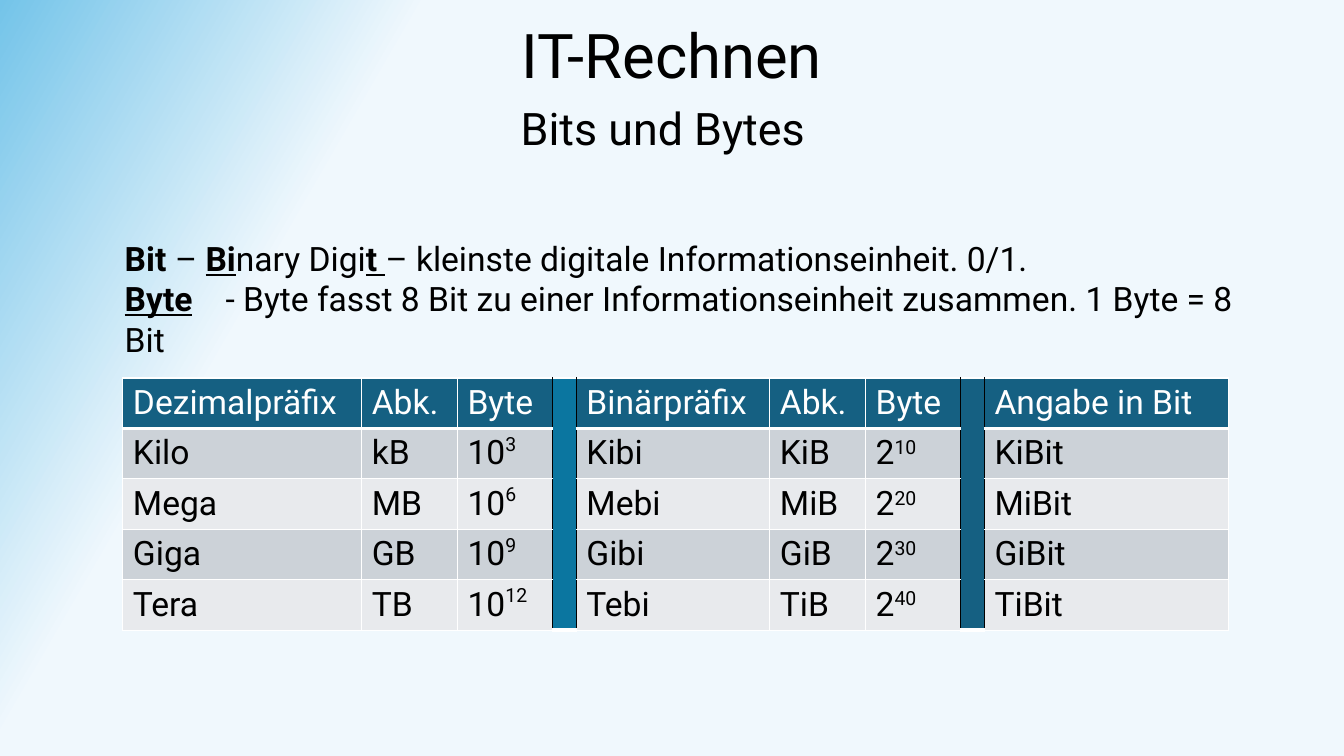
import pptx
import pptx.dml.color
import pptx.enum.text
import pptx.oxml
import pptx.util

Pt = pptx.util.Pt
RGB = pptx.dml.color.RGBColor
ALIGN = pptx.enum.text.PP_ALIGN
ANCHOR = pptx.enum.text.MSO_ANCHOR

FONT = "Roboto"
BLACK = RGB(0x00, 0x00, 0x00)
WHITE = RGB(0xFF, 0xFF, 0xFF)
PALE = RGB(0xF0, 0xF8, 0xFD)
SKY = RGB(0x74, 0xC4, 0xE9)
HEADER = RGB(0x15, 0x60, 0x82)
DIVIDER = RGB(0x0B, 0x76, 0xA0)
BANDS = (RGB(0xCC, 0xD2, 0xD8), RGB(0xE8, 0xEA, 0xED))

COL_WIDTHS = (170.6, 68.4, 67.7, 13, 138.2, 68.4, 67.7, 16.6, 174.2)
ROW_HEIGHT = 36
DIVIDERS = {3: DIVIDER, 7: HEADER}
HEADINGS = ("Dezimalpräfix", "Abk.", "Byte", "", "Binärpräfix", "Abk.", "Byte", "", "Angabe in Bit")
PREFIXES = (("Kilo", "Kibi"), ("Mega", "Mebi"), ("Giga", "Gibi"), ("Tera", "Tebi"))

# Each line is a list of (text, bold, underline)
DEFINITIONS = (
    (("Bit", True, False), (" \t– ", False, False), ("Bi", True, True),
     ("nary Digi", False, False), ("t ", True, True),
     ("– kleinste digitale Informationseinheit. 0/1.", False, False)),
    (("Byte", True, True),
     ("\t- Byte fasst 8 Bit zu einer Informationseinheit zusammen. 1 Byte = 8 Bit", False, False)),
)


def add_run(p, text, size, color=BLACK, bold=False, underline=False):
    r = p.add_run()
    r.text = text
    r.font.name = FONT
    r.font.size = Pt(size)
    r.font.color.rgb = color
    r.font.bold = bold
    r.font.underline = underline
    return r


def add_frame(s, left, top, width, height, anchor):
    tf = s.shapes.add_textbox(Pt(left), Pt(top), Pt(width), Pt(height)).text_frame
    tf.word_wrap = True
    tf.vertical_anchor = anchor
    return tf


def paint_background(s):
    fill = s.background.fill
    fill.gradient()
    fill.gradient_angle = 150
    for stop, position, color in zip(fill.gradient_stops, (0.76, 1), (PALE, SKY)):
        stop.position = position
        stop.color.rgb = color


def add_heading(s, text, size, left, top, width, height):
    p = add_frame(s, left, top, width, height, ANCHOR.MIDDLE).paragraphs[0]
    p.alignment = ALIGN.CENTER
    add_run(p, text, size)


def add_definitions(s, left, top, width, height):
    tf = add_frame(s, left, top, width, height, ANCHOR.TOP)
    for i, line in enumerate(DEFINITIONS):
        p = tf.paragraphs[0] if i == 0 else tf.add_paragraph()
        for text, bold, underline in line:
            add_run(p, text, 24, bold=bold, underline=underline)


def set_borders(cell, row, col):
    tcPr = cell._tc.get_or_add_tcPr()
    edges = (
        ("lnL", 1, BLACK if col in DIVIDERS or col - 1 in DIVIDERS else WHITE),
        ("lnR", 1, BLACK if col in DIVIDERS or col + 1 in DIVIDERS else WHITE),
        ("lnT", 3 if row == 1 else 1, WHITE),
        ("lnB", 3 if row == 0 else 1, WHITE),
    )
    # Borders come before the fill in the cell properties
    for i, (edge, width, color) in enumerate(edges):
        tcPr.insert(i, pptx.oxml.parse_xml(
            f'<a:{edge} xmlns:a="http://schemas.openxmlformats.org/drawingml/2006/main" '
            f'w="{Pt(width)}"><a:solidFill><a:srgbClr val="{color}"/></a:solidFill></a:{edge}>'))


def table_rows():
    """Rows of (base, exponent) pairs, headings first."""
    yield [(heading, "") for heading in HEADINGS]
    for n, (decimal, binary) in enumerate(PREFIXES, 1):
        letter = decimal[0]
        short = "k" if letter == "K" else letter
        yield [(decimal, ""), (short + "B", ""), ("10", str(3 * n)), ("", ""),
               (binary, ""), (letter + "iB", ""), ("2", str(10 * n)), ("", ""),
               (letter + "iBit", "")]


def add_prefix_table(s, left, top):
    rows = list(table_rows())
    table = s.shapes.add_table(len(rows), len(COL_WIDTHS), Pt(left), Pt(top),
                               Pt(sum(COL_WIDTHS)), Pt(ROW_HEIGHT * len(rows))).table
    for column, width in zip(table.columns, COL_WIDTHS):
        column.width = Pt(width)
    for i, row in enumerate(rows):
        table.rows[i].height = Pt(ROW_HEIGHT)
        for j, (base, exponent) in enumerate(row):
            cell = table.cell(i, j)
            cell.fill.solid()
            cell.fill.fore_color.rgb = DIVIDERS.get(j, BANDS[(i - 1) % 2] if i else HEADER)
            set_borders(cell, i, j)
            p = cell.text_frame.paragraphs[0]
            if base:
                add_run(p, base, 24, BLACK if i else WHITE)
            if exponent:
                r = add_run(p, exponent, 24)
                r.font._element.set("baseline", "40000" if base == "10" else "30000")
    # Dividers run through all rows
    for j in DIVIDERS:
        table.cell(0, j).merge(table.cell(len(rows) - 1, j))


def main():
    prs = pptx.Presentation()
    prs.slide_width, prs.slide_height = Pt(960), Pt(540)
    s = prs.slides.add_slide(prs.slide_layouts[6])
    paint_background(s)
    add_heading(s, "IT-Rechnen", 44, 0, 8.6, 960, 60)
    add_heading(s, "Bits und Bytes", 32, -6.5, 68.4, 960, 46)
    add_definitions(s, 82, 166.3, 833.8, 65.5)
    add_prefix_table(s, 87.8, 270)
    prs.save("out.pptx")


if __name__ == "__main__":
    main()
